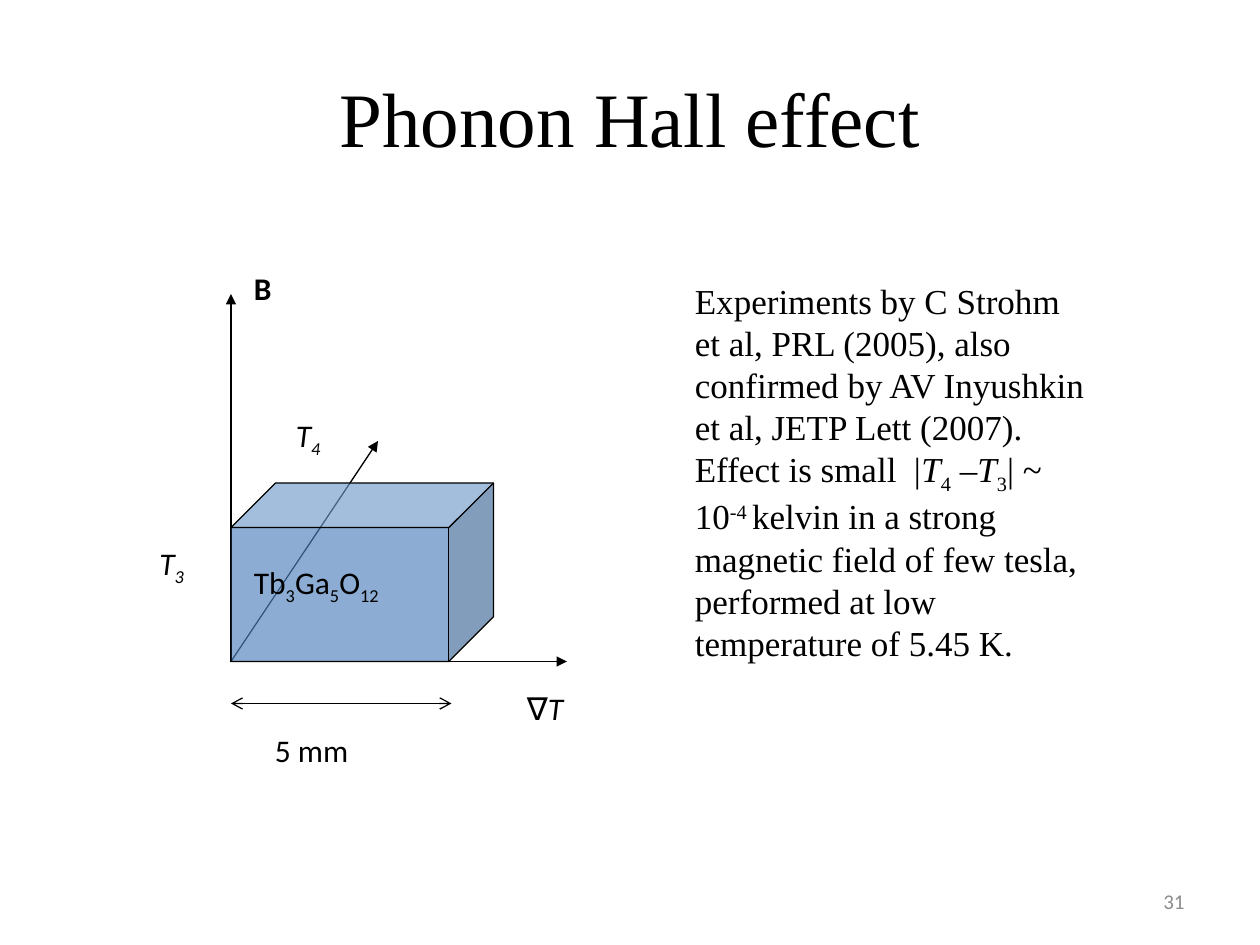
from lxml.etree import SubElement
from pptx import Presentation
from pptx.dml.color import RGBColor
from pptx.enum.shapes import MSO_CONNECTOR, MSO_SHAPE
from pptx.enum.text import MSO_ANCHOR, PP_ALIGN
from pptx.oxml.ns import qn
from pptx.util import Inches, Pt

CELL = Inches(10) / 120  # the slide is a grid of 120 columns by 90 rows
SERIF, SANS = "Times New Roman", "Calibri"
BLACK, GREY, BLUE = "000000", "8C8C8C", "4F81BD"
SUB, SUPER, ITALIC, BOLD = {"base": -25}, {"base": 30}, {"italic": True}, {"bold": True}


def cells(*counts):
    return [round(count * CELL) for count in counts]


def color(hex_string):
    return RGBColor.from_string(hex_string)


def add_text(slide, box, runs, size=18, font=SANS, ink=BLACK,
             align=PP_ALIGN.LEFT, anchor=MSO_ANCHOR.TOP):
    """Runs are (text, format) pairs; format may hold italic, bold and base."""
    frame = slide.shapes.add_textbox(*cells(*box)).text_frame
    frame.word_wrap = True
    frame.vertical_anchor = anchor
    paragraph = frame.paragraphs[0]
    paragraph.alignment = align
    for text, style in runs:
        run = paragraph.add_run()
        run.text = text
        run.font.name, run.font.size = font, Pt(size)
        run.font.color.rgb = color(ink)
        run.font.italic = style.get("italic")
        run.font.bold = style.get("bold")
        if "base" in style:
            run.font._element.set("baseline", str(style["base"] * 1000))


def add_arrow(slide, start, end, **heads):
    arrow = slide.shapes.add_connector(MSO_CONNECTOR.STRAIGHT, *cells(*start, *end))
    arrow.line.color.rgb = color(BLACK)
    arrow.line.width = Pt(0.75)
    line = arrow.line._get_or_add_ln()
    for tag in ("headEnd", "tailEnd"):
        if tag in heads:
            SubElement(line, qn(f"a:{tag}"), type=heads[tag])
    SubElement(arrow._element.spPr, qn("a:effectLst"))


def add_crystal(slide, box):
    crystal = slide.shapes.add_shape(MSO_SHAPE.CUBE, *cells(*box))
    crystal.adjustments[0] = 0.25
    crystal.shadow.inherit = False
    crystal.fill.solid()
    crystal.fill.fore_color.rgb = color(BLUE)
    fill_color = crystal._element.spPr.find(f".//{qn('a:srgbClr')}")
    SubElement(fill_color, qn("a:alpha"), val="65000")
    crystal.line.color.rgb = color(BLACK)
    crystal.line.width = Pt(0.75)


def add_experiment(slide, box):
    left, top, width, height = box

    def at(column, row, *size):
        return (left + column, top + row, *size)

    # Axes, with the transverse and field ones behind the crystal
    corner = at(8, 38)
    add_arrow(slide, corner, at(22, 17), tailEnd="triangle")
    add_arrow(slide, corner, at(8, 3), tailEnd="triangle")
    add_crystal(slide, at(8, 21, 25, 17))
    add_arrow(slide, corner, at(width - 2, 38), tailEnd="triangle")

    # Sample length
    add_arrow(slide, at(8, 42), at(29, 42), headEnd="arrow", tailEnd="arrow")

    # Labels: column, row, width, runs
    formula = [("Tb", {}), ("3", SUB), ("Ga", {}), ("5", SUB), ("O", {}), ("12", SUB)]
    labels = [
        (35, 40, 7, [("∇", {}), ("T", ITALIC)]),
        (0, 26.2, 7, [("T", ITALIC), ("3", ITALIC | SUB)]),
        (13, 14, 7, [("T", ITALIC), ("4", ITALIC | SUB)]),
        (9, 0, 5, [("B", BOLD)]),
        (9, 28, 18, formula),
        (11, 44, 20, [("5 mm", {})]),
    ]
    for column, row, label_width, runs in labels:
        add_text(slide, at(column, row, label_width, height / 10), runs)


def add_findings(slide, box):
    runs = [
        ("Experiments by C Strohm et al, PRL (2005), also confirmed by AV Inyushkin "
         "et al, JETP Lett (2007).  Effect is small  |", {}),
        ("T", ITALIC), ("4", SUB), (" –", {}), ("T", ITALIC), ("3", SUB),
        ("| ~ 10", {}), ("-4 ", SUPER),
        ("kelvin in a strong magnetic field of few tesla, performed at low "
         "temperature of 5.45 K.", {}),
    ]
    add_text(slide, box, runs, size=20, font=SERIF)


def add_title(slide, box):
    add_text(slide, box, [("Phonon Hall effect", {})], size=44, font=SERIF,
             align=PP_ALIGN.CENTER, anchor=MSO_ANCHOR.MIDDLE)


def add_page_number(slide, box):
    add_text(slide, box, [("31", {})], size=12, ink=GREY,
             align=PP_ALIGN.RIGHT, anchor=MSO_ANCHOR.MIDDLE)


def main():
    deck = Presentation()
    deck.slide_width, deck.slide_height = cells(120, 90)
    slide = deck.slides.add_slide(deck.slide_layouts[6])
    add_title(slide, (6, 3.6, 108, 15))
    add_experiment(slide, (14, 25, 42, 48))
    add_findings(slide, (65, 26, 40, 37.5))
    add_page_number(slide, (86, 83.4, 28, 4.8))
    deck.save("out.pptx")


if __name__ == "__main__":
    main()
